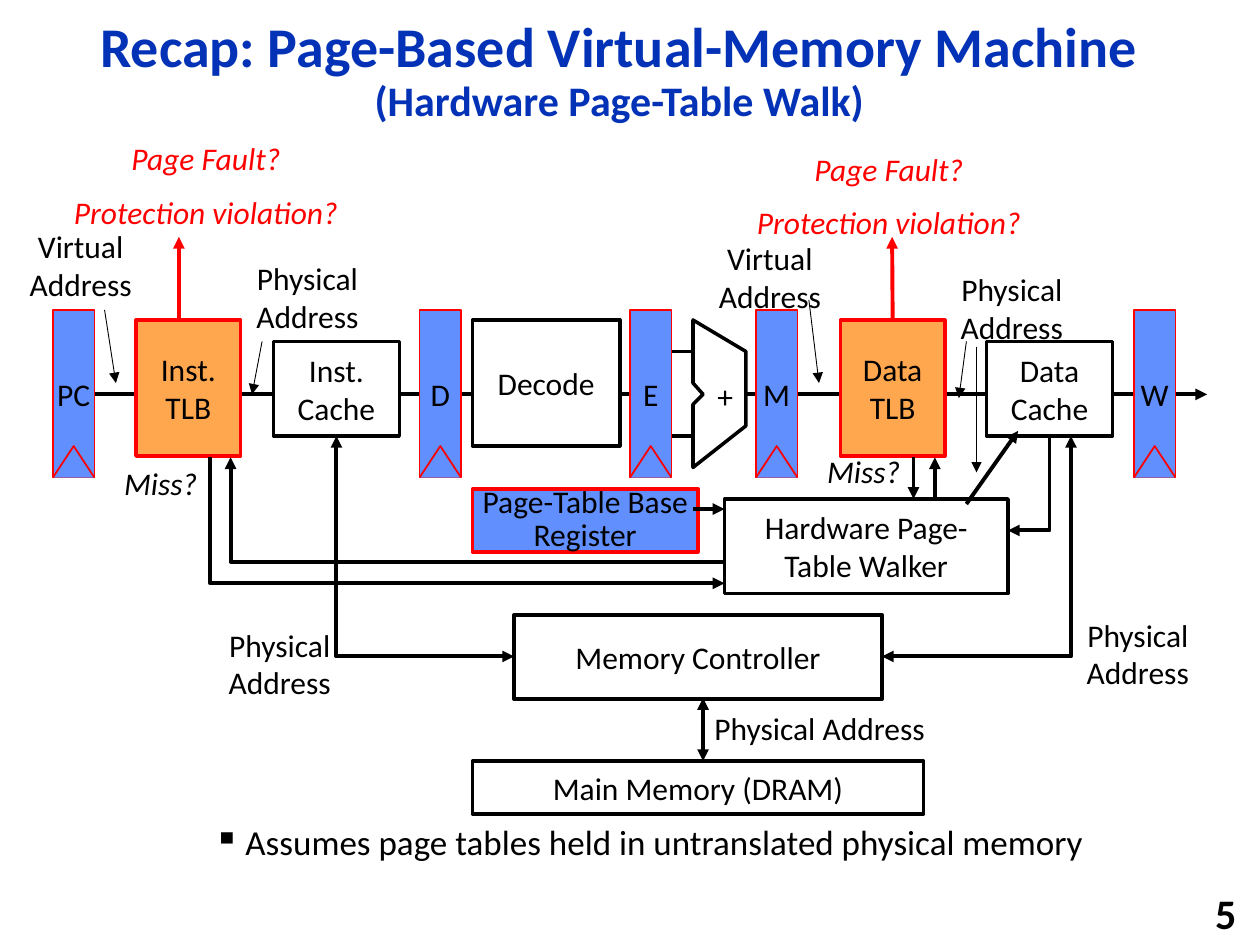
from pptx import Presentation
from pptx.dml.color import RGBColor
from pptx.enum.shapes import MSO_CONNECTOR, MSO_SHAPE
from pptx.enum.text import MSO_ANCHOR, PP_ALIGN
from pptx.oxml.ns import qn
from pptx.util import Inches, Pt
from lxml.etree import SubElement

COLORS = {"title": "0332B7", "black": "000000", "white": "FFFFFF",
          "red": "FF0000", "register": "618FFD", "tlb": "FFA74F"}
FONT = "Calibri"
WIRE_Y = 3.13


def rgb(name):
    return RGBColor.from_string(COLORS[name])


def set_font(font, size, color="black", bold=False, italic=False):
    font.name, font.size = FONT, Pt(size)
    font.bold, font.italic = bold, italic
    font.color.rgb = rgb(color)


def paint(shape, fill, line, width):
    shape.shadow.inherit = False
    if fill:
        shape.fill.solid()
        shape.fill.fore_color.rgb = rgb(fill)
    else:
        shape.fill.background()
    shape.line.color.rgb = rgb(line)
    shape.line.width = Pt(width)


def add_arrowheads(shape, ends):
    """ends holds 'head' and/or 'tail': an arrow at the start and/or the finish."""
    ln = shape.line._get_or_add_ln()
    for end in ("head", "tail"):
        if end in ends:
            SubElement(ln, qn(f"a:{end}End"), type="triangle")


def write(shape, lines, size=18, color="black", wrap=True, align=PP_ALIGN.CENTER, **style):
    frame = shape.text_frame
    frame.word_wrap = wrap
    frame.vertical_anchor = MSO_ANCHOR.MIDDLE
    for i, line in enumerate(lines):
        paragraph = frame.add_paragraph() if i else frame.paragraphs[0]
        paragraph.text = line
        paragraph.alignment = align
        if i:
            paragraph.space_before = Pt(size / 2)
        set_font(paragraph.font, size, color, **style)


def add_label(slide, x, y, w, h, *lines, **style):
    label = slide.shapes.add_textbox(Inches(x), Inches(y), Inches(w), Inches(h))
    write(label, lines, **style)
    return label


def add_block(slide, x, y, w, h, text, fill="white", line="black", width=2, wrap=True):
    block = slide.shapes.add_shape(MSO_SHAPE.RECTANGLE, Inches(x), Inches(y),
                                   Inches(w), Inches(h))
    paint(block, fill, line, width)
    write(block, [text], wrap=wrap)
    return block


def add_outline(slide, points, fill=None, line="black", width=2.25, ends=(), close=False):
    (x, y), *rest = [(Inches(px), Inches(py)) for px, py in points]
    builder = slide.shapes.build_freeform(x, y)
    builder.add_line_segments(rest, close=close)
    outline = builder.convert_to_shape()
    paint(outline, fill, line, width)
    add_arrowheads(outline, ends)


def add_wire(slide, x1, y1, x2, y2, ends=(), color="black", width=2.25):
    wire = slide.shapes.add_connector(MSO_CONNECTOR.STRAIGHT, Inches(x1), Inches(y1),
                                      Inches(x2), Inches(y2))
    wire.line.color.rgb = rgb(color)
    wire.line.width = Pt(width)
    add_arrowheads(wire, ends)
    SubElement(wire._element.spPr, qn("a:effectLst"))
    return wire


def add_register(slide, x, name):
    """Pipeline register with its clock notch."""
    top, w, h, notch = 2.46, 0.33, 1.33, 0.25
    add_block(slide, x, top, w, h, name, "register", "red", 1, wrap=False)
    bottom = top + h
    add_outline(slide, [(x, bottom), (x + w / 2, bottom - notch), (x + w, bottom)],
                "register", "red", 1)


def add_title(slide):
    title = slide.shapes.add_textbox(Inches(0.58), Inches(0.17), Inches(8.67), Inches(0.81))
    frame = title.text_frame
    frame.word_wrap = True
    frame.vertical_anchor = MSO_ANCHOR.MIDDLE
    paragraph = frame.paragraphs[0]
    paragraph.alignment = PP_ALIGN.CENTER
    paragraph.line_spacing = 0.9
    heading = paragraph.add_run()
    heading.text = "Recap: Page-Based Virtual-Memory Machine"
    paragraph.add_line_break()
    subheading = paragraph.add_run()
    subheading.text = "(Hardware Page-Table Walk)"
    for run, size in ((heading, 32), (subheading, 24)):
        set_font(run.font, size, "title", bold=True)


def add_assumption(slide):
    box = slide.shapes.add_textbox(Inches(1.6), Inches(6.5), Inches(8.4), Inches(0.44))
    box.text_frame.word_wrap = True
    paragraph = box.text_frame.paragraphs[0]
    paragraph.text = "Assumes page tables held in untranslated physical memory"
    paragraph.line_spacing = 0.9
    properties = paragraph._p.get_or_add_pPr()
    properties.set("marL", str(Inches(0.25)))
    properties.set("indent", str(-Inches(0.25)))
    SubElement(properties, qn("a:buChar"), char="▪")
    set_font(paragraph.font, 20)


def add_pipeline(slide):
    add_wire(slide, 5.92, WIRE_Y, 9.58, WIRE_Y, ["tail"])
    add_wire(slide, 0.75, WIRE_Y, 5.25, WIRE_Y)
    for x, name in ((0.42, "PC"), (3.33, "D"), (5, "E"), (6, "M"), (9, "W")):
        add_register(slide, x, name)

    # ALU with its two inputs
    add_outline(slide, [(5.5, 2.54), (5.5, 3.04), (5.58, WIRE_Y), (5.5, 3.21), (5.5, 3.71),
                        (5.92, 3.38), (5.92, 2.79)], "white", width=2, close=True)
    for y in (2.79, 3.46):
        add_wire(slide, 5.33, y, 5.5, y)
    add_label(slide, 5.59, 2.94, 0.33, 0.4, "+", wrap=False)

    # Decoder, TLBs and caches
    add_block(slide, 3.75, 2.54, 1.17, 1, "Decode")
    add_block(slide, 1.08, 2.54, 0.83, 1.08, "Inst. TLB", "tlb", "red")
    data_tlb = add_block(slide, 6.67, 2.54, 0.83, 1.08, "Data TLB", "tlb", "red")
    for x, name in ((2.17, "Inst. Cache"), (7.83, "Data Cache")):
        add_block(slide, x, 2.71, 1, 0.75, name)

    # Faults raised by the TLBs
    add_wire(slide, 1.42, 2.54, 1.42, 1.88, ["tail"], "red")
    data_fault = add_wire(slide, 7.08, 2.54, 7.08, 1.88, ["tail"], "red")
    data_fault.begin_connect(data_tlb, 0)
    for x, y in ((0.47, 1.04), (5.89, 1.12)):
        add_label(slide, x, y, 2.33, 0.86, "Page Fault?", "Protection violation?",
                  color="red", italic=True, wrap=False)


def add_memory(slide):
    add_block(slide, 3.75, 6.04, 3.58, 0.42, "Main Memory (DRAM)")
    add_block(slide, 4.08, 4.88, 2.92, 0.67, "Memory Controller")
    both = ["head", "tail"]
    for cache_x, controller_x in ((8.5, 7), (2.67, 4.08)):
        add_outline(slide, [(cache_x, 3.46), (cache_x, 5.21), (controller_x, 5.21)], ends=both)
    add_wire(slide, 5.58, 5.54, 5.58, 6.04, both)


def add_walker(slide):
    base_register = add_block(slide, 3.75, 3.88, 1.79, 0.5, "Page-Table Base Register",
                              "register", "red")
    frame = base_register.text_frame
    frame.margin_left = frame.margin_right = frame.margin_top = frame.margin_bottom = 0
    frame.paragraphs[0].line_spacing = 0.85
    add_block(slide, 5.75, 3.96, 2.25, 0.75, "Hardware Page-Table Walker")

    # Straight links: base register, data TLB miss and refill, data cache
    for ends in ((5.5, 4.04, 5.75, 4.04), (7.25, 3.63, 7.25, 3.96),
                 (7.42, 3.96, 7.42, 3.63), (7.67, 4, 8.08, 3.42)):
        add_wire(slide, *ends, ["tail"])
    # Bent links: data cache, instruction TLB miss and refill
    add_outline(slide, [(8, 4.21), (8.33, 4.21), (8.33, 3.46)], ends=["head"])
    add_outline(slide, [(1.67, 3.63), (1.67, 4.63), (5.75, 4.63)], ends=["tail"])
    add_outline(slide, [(1.83, 3.63), (1.83, 4.46), (5.75, 4.46)], ends=["head"])
    for x, y in ((0.87, 3.63), (6.45, 3.54)):
        add_label(slide, x, y, 0.81, 0.4, "Miss?", italic=True, wrap=False)


def add_address_labels(slide):
    for x, y, kind in ((8.42, 4.83, "Physical"), (1.61, 4.91, "Physical"),
                       (1.83, 2, "Physical"), (7.42, 2.09, "Physical"),
                       (0.03, 1.75, "Virtual"), (5.5, 1.84, "Virtual")):
        add_label(slide, x, y, 1.22, 0.71, f"{kind} Address")
    add_label(slide, 5.17, 5.58, 2.67, 0.4, "Physical Address")
    # Thin pointers from the labels to the wires
    for pointer in ((2.08, 2.71, 2, WIRE_Y), (0.83, 2.46, 0.92, 3.04), (7.67, 2.71, 7.61, 3.16),
                    (6.42, 2.38, 6.5, 3.04), (7.75, 2.75, 7.75, 3.75)):
        add_wire(slide, *pointer, ["tail"], width=0.5)


def main():
    deck = Presentation()
    deck.slide_width, deck.slide_height = Inches(10), Inches(7.5)
    slide = deck.slides.add_slide(deck.slide_layouts[6])
    add_title(slide)
    add_label(slide, 7.83, 7.08, 2.08, 0.32, "5", size=24, bold=True, align=PP_ALIGN.RIGHT)
    add_assumption(slide)
    add_pipeline(slide)
    add_memory(slide)
    add_walker(slide)
    add_address_labels(slide)
    deck.save("out.pptx")


if __name__ == "__main__":
    main()
